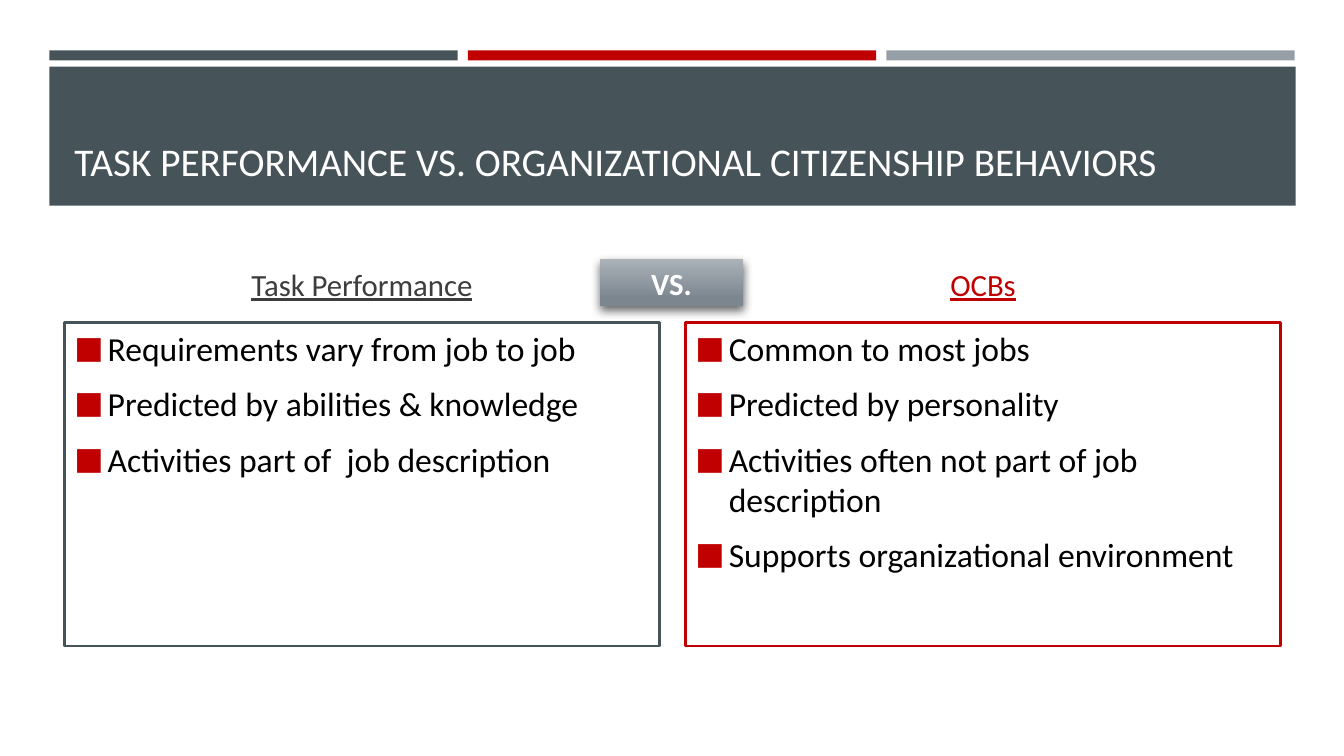
from lxml import etree
from pptx import Presentation
from pptx.dml.color import RGBColor
from pptx.enum.shapes import MSO_SHAPE as Shape
from pptx.enum.text import MSO_ANCHOR as Anchor, PP_ALIGN as Align
from pptx.oxml.ns import qn
from pptx.util import Inches, Pt

FONT = "Calibri"
SLATE, RED, GRAY = "465359", "C00000", "969FA7"
WHITE, BLACK, CHARCOAL = "FFFFFF", "000000", "3D3D3D"

# Content
TITLE = "TASK PERFORMANCE VS. ORGANIZATIONAL CITIZENSHIP BEHAVIORS"
COLUMNS = [
    ("Task Performance", CHARCOAL, SLATE, [
        "Requirements vary from job to job",
        "Predicted by abilities & knowledge",
        "Activities part of  job description",
    ]),
    ("OCBs", RED, RED, [
        "Common to most jobs",
        "Predicted by personality",
        "Activities often not part of job description",
        "Supports organizational environment",
    ]),
]

# Layout in inches
BAND_LEFT, BAR_WIDTH, BAR_GAP = 0.49, 4.05, 0.1
COLUMN_LEFT, COLUMN_WIDTH, COLUMN_GAP = 0.64, 5.9, 0.26

presentation = Presentation()
presentation.slide_width, presentation.slide_height = Inches(13.33), Inches(7.5)
slide = presentation.slides.add_slide(presentation.slide_layouts[6])


def color(value):
    return RGBColor.from_string(value)


def add_box(left, top, width, height, fill=None, line=None):
    box = slide.shapes.add_shape(Shape.RECTANGLE, *map(Inches, (left, top, width, height)))
    box.shadow.inherit = False
    if fill:
        box.fill.solid()
        box.fill.fore_color.rgb = color(fill)
    if line:
        box.line.color.rgb = color(line)
        box.line.width = Pt(1.75)
    else:
        box.line.fill.background()
    return box


def add_text(left, top, width, height):
    return slide.shapes.add_textbox(*map(Inches, (left, top, width, height)))


def write(shape, lines, size, text_color, anchor=Anchor.BOTTOM, align=Align.LEFT,
          spaced=False, **style):
    frame = shape.text_frame
    frame.text = "\n".join(lines)
    frame.word_wrap = True
    frame.vertical_anchor = anchor
    for paragraph in frame.paragraphs:
        paragraph.alignment = align
        if spaced:
            paragraph.space_before, paragraph.space_after = Pt(size * 0.2), Pt(6)
        font = paragraph.runs[0].font
        font.name, font.size, font.color.rgb = FONT, Pt(size), color(text_color)
        for name, value in style.items():
            setattr(font, name, value)


def add_bullets(shape):
    for paragraph in shape.text_frame.paragraphs:
        properties = paragraph._p.get_or_add_pPr()
        properties.set("marL", str(Inches(0.33)))
        properties.set("indent", str(-Inches(0.33)))
        bullet_color = etree.SubElement(properties, qn("a:buClr"))
        etree.SubElement(bullet_color, qn("a:srgbClr"), val=RED)
        etree.SubElement(properties, qn("a:buSzPct"), val="92000")
        etree.SubElement(properties, qn("a:buFont"), typeface=FONT)
        etree.SubElement(properties, qn("a:buChar"), char="■")


def add_shadow(shape):
    effects = shape._element.spPr.find(qn("a:effectLst"))
    shadow = etree.SubElement(effects, qn("a:outerShdw"), blurRad=str(Pt(7)),
                              dist=str(Pt(3)), dir="5040000", rotWithShape="0")
    shade = etree.SubElement(shadow, qn("a:srgbClr"), val=BLACK)
    etree.SubElement(shade, qn("a:alpha"), val="60000")


# Header bars and title band
for index, bar_color in enumerate((SLATE, RED, GRAY)):
    add_box(BAND_LEFT + index * (BAR_WIDTH + BAR_GAP), 0.5, BAR_WIDTH, 0.1, bar_color)
add_box(BAND_LEFT, 0.66, 12.36, 1.38, SLATE)
write(add_text(COLUMN_LEFT, 0.8, 12.06, 1.08), [TITLE], 28, WHITE)

# Two compared columns
for index, (heading, heading_color, border, points) in enumerate(COLUMNS):
    left = COLUMN_LEFT + index * (COLUMN_WIDTH + COLUMN_GAP)
    write(add_text(left, 2.45, COLUMN_WIDTH, 0.6), [heading], 22, heading_color,
          align=Align.CENTER, spaced=True, underline=True)
    panel = add_box(left, 3.2, COLUMN_WIDTH, 3.21, WHITE, border)
    write(panel, points, 24, BLACK, anchor=Anchor.TOP, spaced=True)
    add_bullets(panel)

# Badge between the headings
badge = add_box(5.95, 2.57, 1.42, 0.47)
badge.fill.gradient()
badge.fill.gradient_angle = 270
for stop, (position, stop_color) in zip(badge.fill.gradient_stops,
                                        ((0, "ABB2B8"), (0.84, "7C868F"))):
    stop.position, stop.color.rgb = position, color(stop_color)
add_shadow(badge)
write(badge, ["VS."], 22, WHITE, align=Align.CENTER, bold=True)

presentation.save("out.pptx")
